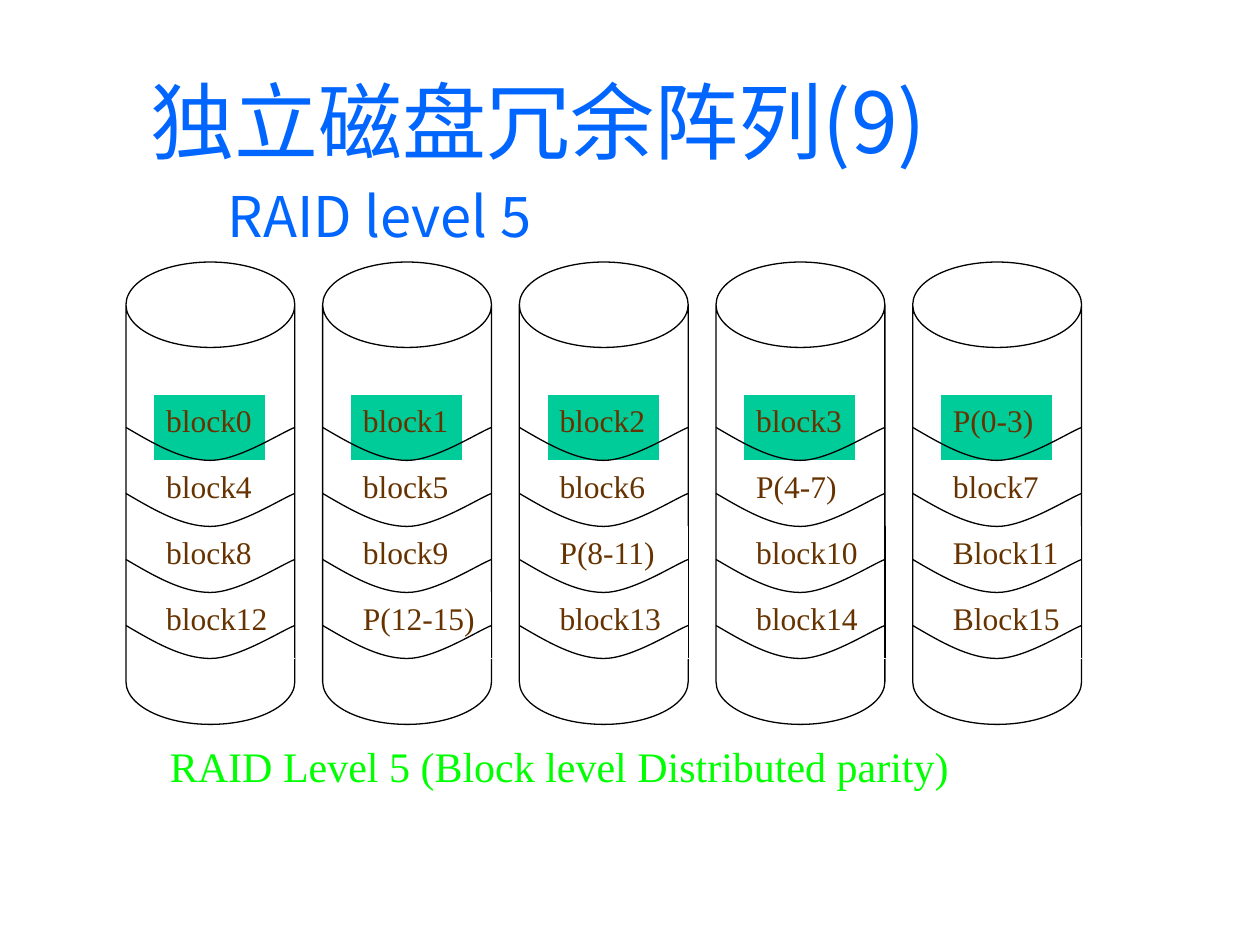
"""Build a slide showing how RAID level 5 spreads parity over five disks."""
from lxml.etree import SubElement
from pptx import Presentation
from pptx.dml.color import RGBColor
from pptx.enum.shapes import MSO_CONNECTOR, MSO_SHAPE
from pptx.enum.text import MSO_ANCHOR, PP_ALIGN
from pptx.oxml.ns import qn
from pptx.util import Inches, Pt

HEADINGS = [("独立磁盘冗余阵列(9)", 48, 0.6, 0), ("RAID level 5", 32, 1.21, 6.4)]
DISKS = [
    ("block0", "block4", "block8", "block12"),
    ("block1", "block5", "block9", "P(12-15)"),
    ("block2", "block6", "P(8-11)", "block13"),
    ("block3", "P(4-7)", "block10", "block14"),
    ("P(0-3)", "block7", "Block11", "Block15"),
]
CAPTION = "RAID Level 5 (Block level Distributed parity)"

COLORS = {"heading": "0066FF", "stripe": "00CC99", "block": "663300",
          "caption": "00FF00", "paper": "FFFFFF", "ink": "000000"}
HEADING_FONT, BODY_FONT = "Noto Sans CJK JP", "Times New Roman"

LEFT, TOP, PITCH = 1, 2.08, 1.561
DISK_W, DISK_H, LID = 1.34, 3.67, 0.506
ROW_TOP, ROW_H = 3.13, 0.524
INDENT, NARROW, WIDE = 0.22, 0.89, 1.12
RIM_CURVES = [
    [(1 / 6, 0.5), (1 / 3, 1), (1 / 2, 1)],
    [(2 / 3, 1), (11 / 12, 1 / 6), (1, 0)],
]


def rgb(name):
    return RGBColor.from_string(COLORS[name])


def outline(shape, color):
    shape.line.color.rgb = rgb(color)
    shape.line.width = Pt(0.75)


def set_frame(frame, wrap):
    formats = {"word_wrap": wrap, "vertical_anchor": MSO_ANCHOR.TOP,
               "margin_left": Inches(0.1), "margin_right": Inches(0.1),
               "margin_top": Inches(0.05), "margin_bottom": Inches(0.05)}
    for attribute, value in formats.items():
        setattr(frame, attribute, value)


def write(paragraph, text, size, font, color):
    paragraph.alignment = PP_ALIGN.LEFT
    run = paragraph.add_run()
    run.text = text
    for attribute, value in {"size": Pt(size), "name": font, "bold": False}.items():
        setattr(run.font, attribute, value)
    run.font.color.rgb = rgb(color)
    SubElement(run._r.get_or_add_rPr(), qn("a:ea")).set("typeface", font)


def add_box(shapes, preset, box, fill, line):
    shape = shapes.add_shape(preset, *map(Inches, box))
    shape.shadow.inherit = False
    shape.fill.solid()
    shape.fill.fore_color.rgb = rgb(fill)
    outline(shape, line)
    return shape


def add_rim(shapes, x, y):
    width, depth = Inches(DISK_W), Inches(ROW_H / 2)
    left, top = Inches(x), Inches(y)
    builder = shapes.build_freeform(left, top)
    builder.add_line_segments([(left + int(curve[-1][0] * width), top + int(curve[-1][1] * depth))
                               for curve in RIM_CURVES], close=False)
    rim = builder.convert_to_shape()
    outline_path = next(rim._element.iter(qn("a:path")))
    for segment in outline_path.findall(qn("a:lnTo")):
        outline_path.remove(segment)
    for curve in RIM_CURVES:
        bend = SubElement(outline_path, qn("a:cubicBezTo"))
        for across, down in curve:
            SubElement(bend, qn("a:pt"), x=str(int(across * width)), y=str(int(down * depth)))
    rim.shadow.inherit = False
    rim.fill.background()
    outline(rim, "ink")


def add_wall(shapes, x, y):
    wall = shapes.add_connector(MSO_CONNECTOR.STRAIGHT, *map(Inches, (x, y, x, y + ROW_H)))
    SubElement(wall._element.spPr, qn("a:effectLst"))
    outline(wall, "ink")


def add_disk(shapes, x, blocks):
    can = add_box(shapes, MSO_SHAPE.CAN, (x, TOP, DISK_W, DISK_H), "paper", "ink")
    can.adjustments[0] = LID
    rows = [(ROW_TOP + i * ROW_H, label, len(label) > 6) for i, label in enumerate(blocks)]
    for y, label, is_wide in rows:
        fill = "stripe" if y == ROW_TOP else "paper"
        width = WIDE if is_wide else NARROW
        block = add_box(shapes, MSO_SHAPE.RECTANGLE, (x + INDENT, y, width, ROW_H), fill, "paper")
        set_frame(block.text_frame, False)
        write(block.text_frame.paragraphs[0], label, 18, BODY_FONT, "block")
    for y, label, is_wide in rows:
        add_rim(shapes, x, y + ROW_H / 2)
        if is_wide:
            add_wall(shapes, x + DISK_W, y)


def main():
    deck = Presentation()
    deck.slide_width, deck.slide_height = Inches(10), Inches(7.5)
    shapes = deck.slides.add_slide(deck.slide_layouts[6]).shapes

    heading = shapes.add_textbox(*map(Inches, (0.5, 0.5, 8.67, 6.33))).text_frame
    set_frame(heading, True)
    for i, (text, size, indent, gap) in enumerate(HEADINGS):
        paragraph = heading.add_paragraph() if i else heading.paragraphs[0]
        if gap:
            paragraph.space_before = Pt(gap)
        paragraph._p.get_or_add_pPr().set("marL", str(Inches(indent)))
        write(paragraph, text, size, HEADING_FONT, "heading")

    for column, blocks in enumerate(DISKS):
        add_disk(shapes, LEFT + column * PITCH, blocks)

    caption = shapes.add_textbox(*map(Inches, (1.25, 5.83, 6.58, 0.5))).text_frame
    set_frame(caption, True)
    write(caption.paragraphs[0], CAPTION, 24, BODY_FONT, "caption")
    deck.save("out.pptx")


if __name__ == "__main__":
    main()
